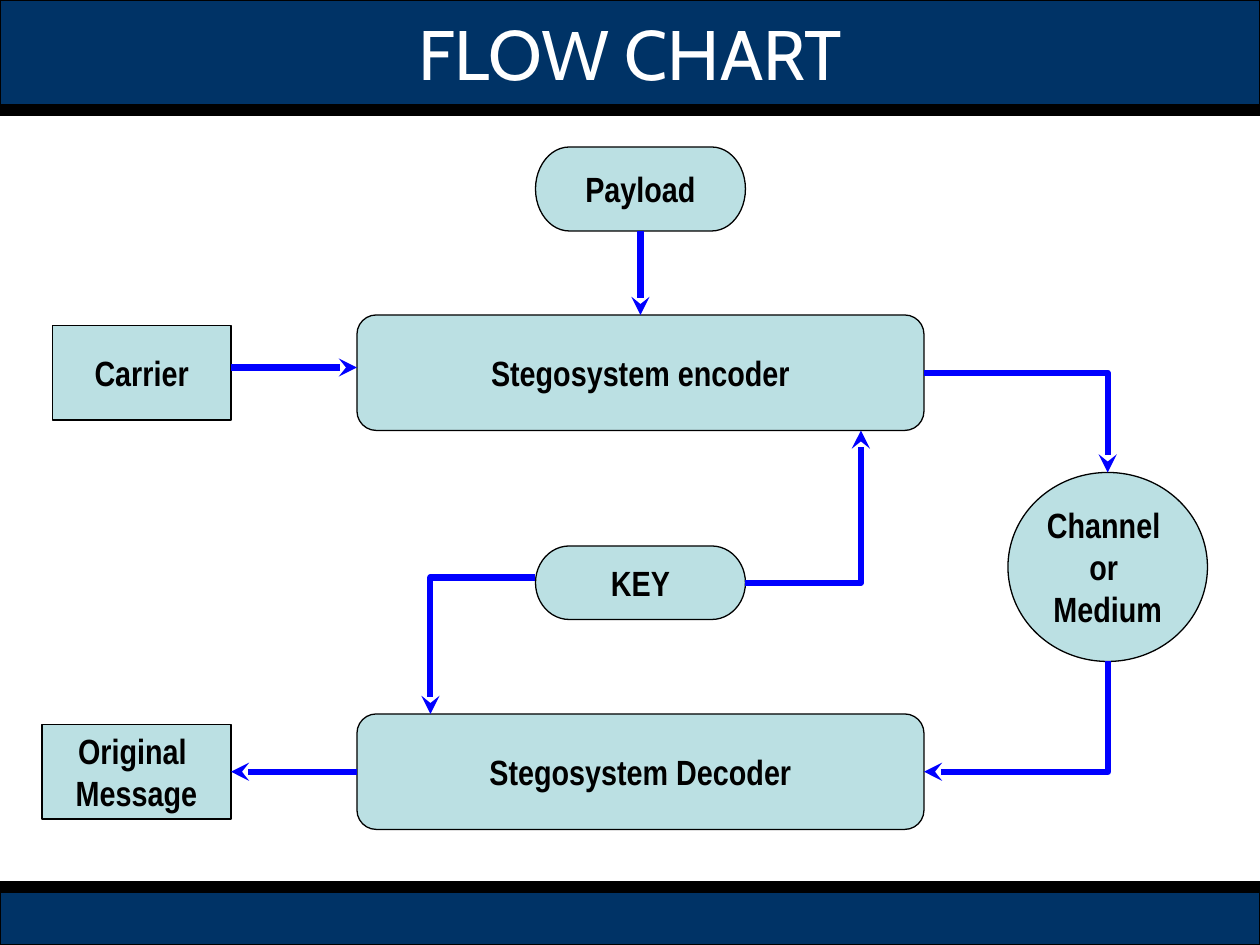
from dataclasses import dataclass

from lxml import etree
from pptx import Presentation
from pptx import util as u
from pptx.dml import color as clr
from pptx.enum import shapes as sh, text as tx
from pptx.oxml import ns

HUES = {
    "navy": "003366",
    "black": "000000",
    "white": "FFFFFF",
    "teal": "BBE0E3",
    "blue": "0000FF",
}
KIND = sh.MSO_SHAPE
WIDE, HIGH = 720, 540


@dataclass
class Node:
    label: str
    kind: KIND
    left: float
    top: float
    width: float
    height: float


@dataclass
class Link:
    x1: float
    y1: float
    x2: float
    y2: float
    tip: str = "tailEnd"


BARS = [("navy", 510, 30), ("black", 60, 6), ("black", 504, 6)]

NODES = [
    Node("Stegosystem encoder", KIND.FLOWCHART_ALTERNATE_PROCESS, 204, 180, 324, 66),
    Node("Stegosystem Decoder", KIND.FLOWCHART_ALTERNATE_PROCESS, 204, 408, 324, 66),
    Node("KEY", KIND.FLOWCHART_TERMINATOR, 306, 312, 120, 42),
    Node("Carrier", KIND.FLOWCHART_PROCESS, 30, 186, 102, 54),
    Node("Original \nMessage", KIND.FLOWCHART_PROCESS, 24, 414, 108, 54),
    Node("Channel \nor \nMedium", KIND.FLOWCHART_CONNECTOR, 576, 270, 114, 108),
    Node("Payload", KIND.FLOWCHART_TERMINATOR, 306, 84, 120, 48),
]

LINKS = [
    Link(306, 330, 246, 408),
    Link(426, 333, 492, 246),
    Link(132, 210, 204, 210),
    Link(204, 441, 132, 441),
    Link(528, 213, 633, 270),
    Link(528, 441, 633, 378, "headEnd"),
    Link(366, 132, 366, 180),
]


def hue(name: str) -> clr.RGBColor:
    return clr.RGBColor.from_string(HUES[name])


def paint(shape, fill: str) -> None:
    shape.fill.solid()
    shape.fill.fore_color.rgb = hue(fill)
    shape.line.color.rgb = hue("black")
    shape.line.width = u.Pt(0.75)


def write(shape, label: str, face: str, size: float, ink: str, bold: bool) -> None:
    frame = shape.text_frame
    frame.text = label
    frame.word_wrap = False
    frame.auto_size = tx.MSO_AUTO_SIZE.NONE
    frame.vertical_anchor = tx.MSO_ANCHOR.MIDDLE
    for para in frame.paragraphs:
        para.alignment = tx.PP_ALIGN.CENTER
        for run in para.runs:
            run.font.name = face
            run.font.size = u.Pt(size)
            run.font.bold = bold
            run.font.color.rgb = hue(ink)


def add_box(slide, kind: KIND, left: float, top: float,
            width: float, height: float, fill: str):
    box = slide.shapes.add_shape(
        kind, u.Pt(left), u.Pt(top), u.Pt(width), u.Pt(height))
    box.shadow.inherit = False
    paint(box, fill)
    return box


def add_node(slide, node: Node) -> None:
    box = add_box(slide, node.kind, node.left, node.top,
                  node.width, node.height, "teal")
    write(box, node.label, "Arial Narrow", 20, "black", True)


def add_link(slide, link: Link) -> None:
    bent = link.x1 != link.x2 and link.y1 != link.y2
    kind = sh.MSO_CONNECTOR.ELBOW if bent else sh.MSO_CONNECTOR.STRAIGHT
    line = slide.shapes.add_connector(
        kind, u.Pt(link.x1), u.Pt(link.y1), u.Pt(link.x2), u.Pt(link.y2))
    line.line.color.rgb = hue("blue")
    line.line.width = u.Pt(3.5)
    props = line.element.spPr
    if bent:
        props.find(ns.qn("a:prstGeom")).set("prst", "bentConnector2")
    etree.SubElement(props.find(ns.qn("a:ln")), ns.qn(f"a:{link.tip}"), type="stealth")
    etree.SubElement(props, ns.qn("a:effectLst"))


def add_title(slide) -> None:
    title = slide.shapes.title
    title.left, title.top = u.Pt(0), u.Pt(0)
    title.width, title.height = u.Pt(WIDE), u.Pt(60)
    paint(title, "navy")
    write(title, "FLOW CHART", "Cabin", 40, "white", False)


def main() -> None:
    deck = Presentation()
    deck.slide_width, deck.slide_height = u.Pt(WIDE), u.Pt(HIGH)
    slide = deck.slides.add_slide(deck.slide_layouts[5])
    add_title(slide)
    for fill, top, height in BARS:
        add_box(slide, KIND.RECTANGLE, 0, top, WIDE, height, fill)
    for node in NODES:
        add_node(slide, node)
    for link in LINKS:
        add_link(slide, link)
    deck.save("out.pptx")


if __name__ == "__main__":
    main()
